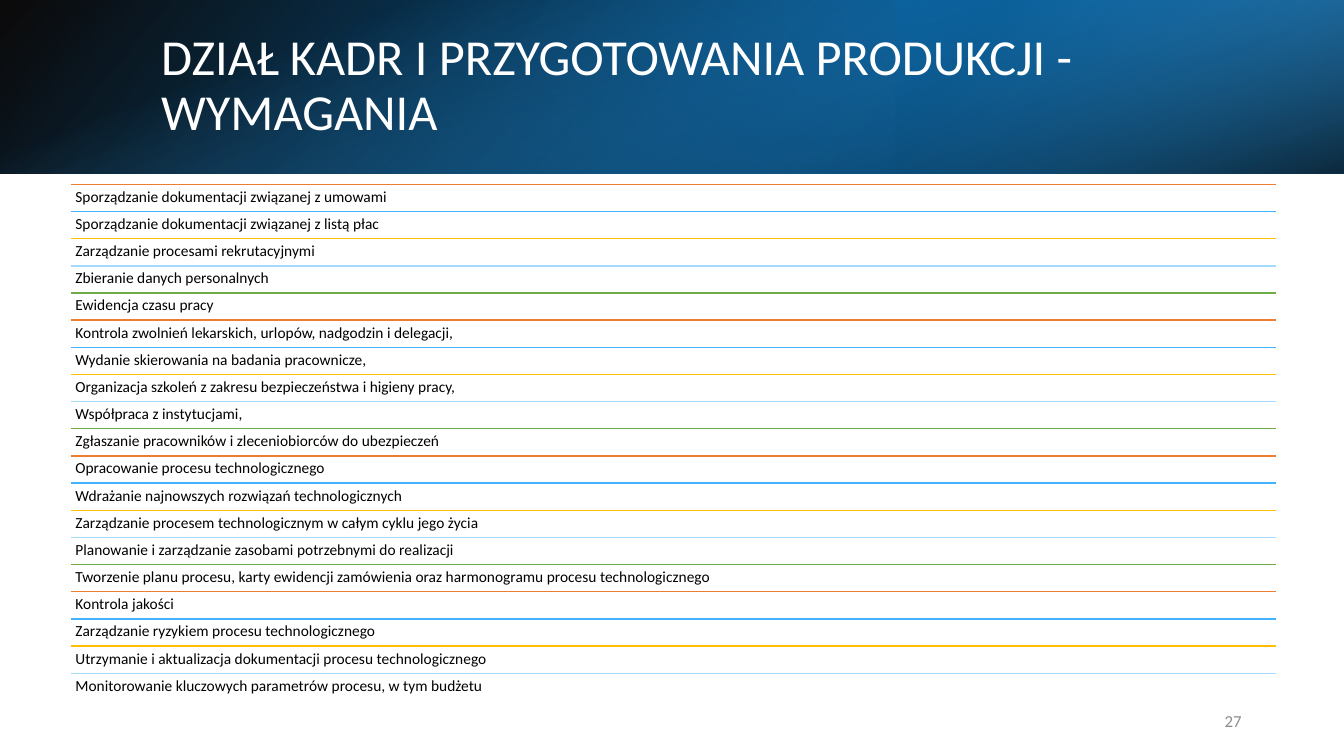
import pptx
import pptx.dml.color
import pptx.enum.shapes
import pptx.enum.text
import pptx.oxml
import pptx.oxml.ns
import pptx.util
from lxml import etree

Pt = pptx.util.Pt
RGB = pptx.dml.color.RGBColor
ALIGN = pptx.enum.text.PP_ALIGN
ANCHOR = pptx.enum.text.MSO_ANCHOR

BLACK = RGB(0x00, 0x00, 0x00)
WHITE = RGB(0xFF, 0xFF, 0xFF)
GREY = RGB(0x8C, 0x8C, 0x8C)
ORANGE = RGB(0xED, 0x7D, 0x31)
SKY = RGB(0x42, 0xB2, 0xFF)
YELLOW = RGB(0xFF, 0xC0, 0x00)
PALE = RGB(0xA5, 0xDA, 0xFF)
GREEN = RGB(0x70, 0xAD, 0x47)
BRIGHT = RGB(0x00, 0x8F, 0xF1)
DEEP = RGB(0x00, 0x5F, 0xA0)
RULE_COLOURS = [ORANGE, SKY, YELLOW, PALE, GREEN]

WIDTH, HEIGHT = 960, 540
BANNER_HEIGHT = 124
TITLE = "DZIAŁ KADR I PRZYGOTOWANIA PRODUKCJI - WYMAGANIA"
REQUIREMENTS = [
    "Sporządzanie dokumentacji związanej z umowami",
    "Sporządzanie dokumentacji związanej z listą płac",
    "Zarządzanie procesami rekrutacyjnymi",
    "Zbieranie danych personalnych",
    "Ewidencja czasu pracy",
    "Kontrola zwolnień lekarskich, urlopów, nadgodzin i delegacji,",
    "Wydanie skierowania na badania pracownicze,",
    "Organizacja szkoleń z zakresu bezpieczeństwa i higieny pracy,",
    "Współpraca z instytucjami,",
    "Zgłaszanie pracowników i zleceniobiorców do ubezpieczeń",
    "Opracowanie procesu technologicznego",
    "Wdrażanie najnowszych rozwiązań technologicznych",
    "Zarządzanie procesem technologicznym w całym cyklu jego życia",
    "Planowanie i zarządzanie zasobami potrzebnymi do realizacji",
    "Tworzenie planu procesu, karty ewidencji zamówienia oraz harmonogramu procesu technologicznego",
    "Kontrola jakości",
    "Zarządzanie ryzykiem procesu technologicznego",
    "Utrzymanie i aktualizacja dokumentacji procesu technologicznego",
    "Monitorowanie kluczowych parametrów procesu, w tym budżetu",
]


def add_text(slide, text, box, *, size, colour, align=ALIGN.LEFT,
             anchor=ANCHOR.MIDDLE, spacing=1.0, insets=(7.2, 3.6)):
    """Place one formatted paragraph in the box (left, top, width, height)."""
    frame = slide.shapes.add_textbox(*map(Pt, box)).text_frame
    frame.word_wrap = True
    frame.vertical_anchor = anchor
    frame.margin_left = frame.margin_right = Pt(insets[0])
    frame.margin_top = frame.margin_bottom = Pt(insets[1])
    paragraph = frame.paragraphs[0]
    paragraph.alignment = align
    paragraph.line_spacing = spacing
    run = paragraph.add_run()
    run.text = text
    run.font.name = "Calibri"
    run.font.size = Pt(size)
    run.font.color.rgb = colour


def add_glow(slide, box, stops, angle, rotation=0, flipped=False):
    """Add a gradient layer; stops are (position, colour, opacity), in percent."""
    glow = slide.shapes.add_shape(
        pptx.enum.shapes.MSO_SHAPE.RECTANGLE, *map(Pt, box))
    glow.shadow.inherit = False
    glow.line.fill.background()
    glow.rotation = rotation
    if flipped:
        glow._element.spPr.xfrm.set("flipH", "1")
    glow.fill.gradient()
    glow.fill.gradient_angle = 360 - angle
    for stop, (position, colour, _) in zip(glow.fill.gradient_stops, stops):
        stop.position = position / 100
        stop.color.rgb = colour
    tints = glow._element.spPr.iter(pptx.oxml.ns.qn("a:srgbClr"))
    for tint, (_, _, opacity) in zip(list(tints), stops):
        alpha = etree.SubElement(tint, pptx.oxml.ns.qn("a:alpha"))
        alpha.set("val", str(opacity * 1000))


def add_banner(slide, left, top, width, height):
    """Build the layered gradient banner and its title."""
    add_glow(slide, (left, top, width, height),
             [(0, BLACK, 96), (100, BRIGHT, 100)], 140, flipped=True)
    add_glow(slide, (left + width * 2 / 3, top, width / 3, height),
             [(19, DEEP, 68), (100, SKY, 79)], 320, rotation=180, flipped=True)
    upright = (left + (width - height) / 2, top + (height - width) / 2, height, width)
    add_glow(slide, upright, [(23, SKY, 0), (99, BLACK, 74)], 340, rotation=90)
    add_text(slide, TITLE, (left + 108, top + 27.4, 790.6, 69),
             size=36, colour=WHITE, spacing=0.9)


def add_requirements(slide, left, top, width, height):
    """List the requirements in equal rows, each under a coloured rule."""
    pitch = height / len(REQUIREMENTS)
    for index, requirement in enumerate(REQUIREMENTS):
        row_top = top + index * pitch
        rule = slide.shapes.add_connector(
            pptx.enum.shapes.MSO_CONNECTOR.STRAIGHT,
            Pt(left), Pt(row_top), Pt(left + width), Pt(row_top))
        rule.line.color.rgb = RULE_COLOURS[index % len(RULE_COLOURS)]
        rule.line.width = Pt(1)
        etree.SubElement(rule._element.spPr, pptx.oxml.ns.qn("a:effectLst"))
        add_text(slide, requirement, (left, row_top, width, pitch), size=11,
                 colour=BLACK, anchor=ANCHOR.TOP, spacing=0.9, insets=(3.3, 3.3))


def main():
    """Build and save the slide."""
    deck = pptx.Presentation()
    deck.slide_width, deck.slide_height = Pt(WIDTH), Pt(HEIGHT)
    slide = deck.slides.add_slide(deck.slide_layouts[6])
    add_banner(slide, 0, 0, WIDTH, BANNER_HEIGHT)
    add_requirements(slide, 50.6, 131.7, 860.6, 368.6)
    add_text(slide, "27", (678, 500.5, 216, 28.75), size=12, colour=GREY,
             align=ALIGN.RIGHT)
    deck.save("out.pptx")


if __name__ == "__main__":
    main()
